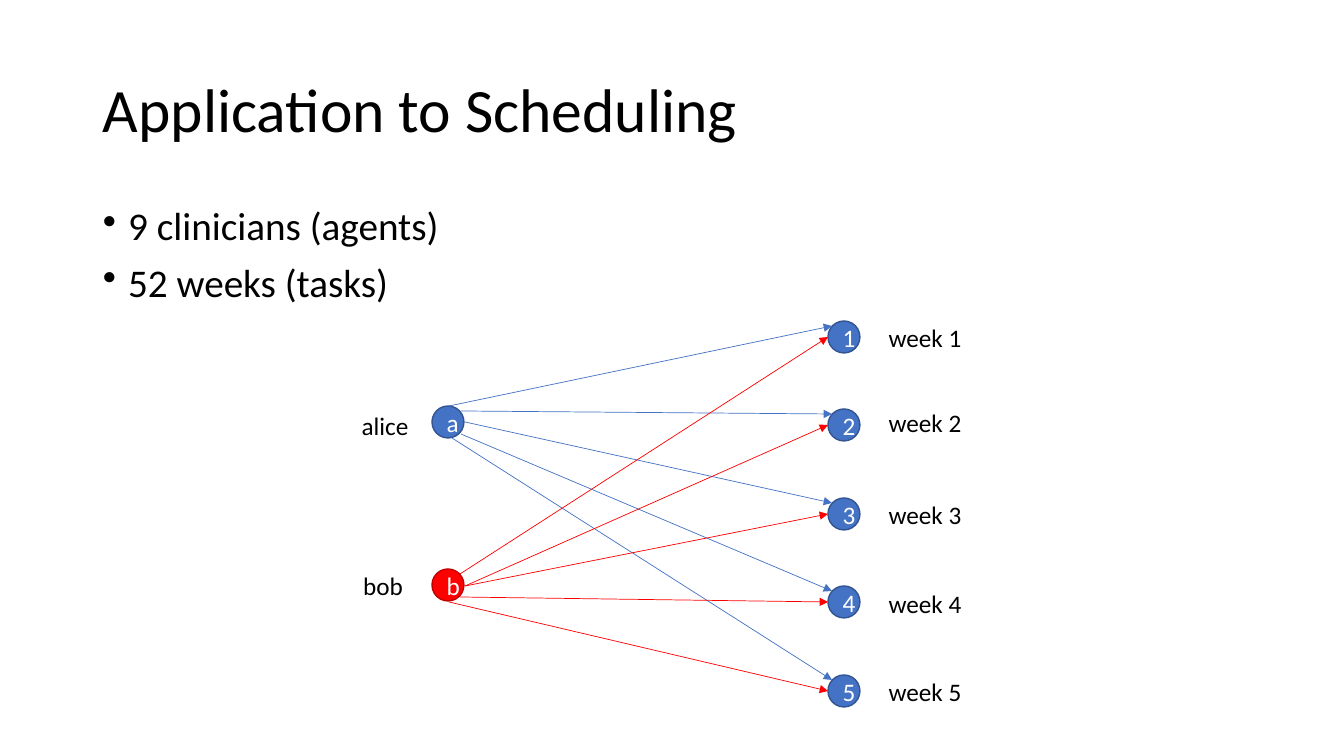
from lxml import etree
from pptx import Presentation
from pptx.dml.color import RGBColor
from pptx.enum.shapes import MSO_CONNECTOR, MSO_SHAPE
from pptx.enum.text import MSO_ANCHOR, MSO_AUTO_SIZE, PP_ALIGN
from pptx.oxml.ns import qn
from pptx.util import Emu, Pt

STRAIGHT = MSO_CONNECTOR.STRAIGHT
OVAL = MSO_SHAPE.OVAL
MIDDLE = MSO_ANCHOR.MIDDLE
FIT_SHAPE = MSO_AUTO_SIZE.SHAPE_TO_FIT_TEXT
CENTER = PP_ALIGN.CENTER

BLACK = RGBColor(0x00, 0x00, 0x00)
WHITE = RGBColor(0xFF, 0xFF, 0xFF)
BLUE = RGBColor(0x44, 0x72, 0xC4)
DARK_BLUE = RGBColor(0x32, 0x54, 0x91)
RED = RGBColor(0xFF, 0x00, 0x00)
DARK_RED = RGBColor(0xC0, 0x00, 0x00)

FONT = "Calibri"
NODE = 32
AGENT_X, WEEK_X = 432, 828
WEEK_TOPS = [321 + 177 * i // 2 for i in range(5)]
WEEK_LABEL_TOPS = [317, 402, 494, 583, 671]
AGENTS = [
    ("a", "alice", 406, (320, 405), BLUE, DARK_BLUE, (4, 5),
     [(17, 0), (29, 5), (33, 16), (29, 28), (20, 32)]),
    ("b", "bob", 569, (318, 565), RED, DARK_RED, (0, 16),
     [(28, 5), (33, 17), (33, 17), (28, 28), (17, 33)]),
]


def px(n):
    """Convert pixels to EMU."""
    return Emu(round(n * 914400 / 100.8))


def style(p, size, color):
    """Format every run of a paragraph."""
    for r in p.runs:
        r.font.name = FONT
        r.font.size = Pt(size)
        r.font.color.rgb = color


def add_text(s, x, y, w, h, text, size):
    """Add a wrapping black text box and return its text frame."""
    tf = s.shapes.add_textbox(px(x), px(y), px(w), px(h)).text_frame
    tf.word_wrap = True
    tf.text = text
    for p in tf.paragraphs:
        style(p, size, BLACK)
    return tf


def add_title(s, text):
    """Add the slide title."""
    tf = add_text(s, 93, 40, 1159, 146, text, 44)
    tf.vertical_anchor = MIDDLE
    tf.paragraphs[0].line_spacing = 0.9


def add_bullets(s, items):
    """Add the bulleted list."""
    tf = add_text(s, 93, 202, 1159, 480, "\n".join(items), 28)
    for p in tf.paragraphs:
        p.line_spacing = 0.9
        p.space_before = Pt(10)
        pPr = p._p.get_or_add_pPr()
        pPr.set("marL", "228600")
        pPr.set("indent", "-228600")
        etree.SubElement(pPr, qn("a:buChar"), char="•")


def add_label(s, x, y, text):
    """Add a centred caption beside a node."""
    tf = add_text(s, x, y, 130, 40, text, 18)
    tf.auto_size = FIT_SHAPE
    tf.paragraphs[0].alignment = CENTER


def add_node(s, x, y, text, fill, border):
    """Add a round graph node."""
    sp = s.shapes.add_shape(OVAL, px(x), px(y), px(NODE), px(NODE))
    sp.shadow.inherit = False
    sp.fill.solid()
    sp.fill.fore_color.rgb = fill
    sp.line.color.rgb = border
    sp.line.width = Pt(1)
    tf = sp.text_frame
    tf.text = text
    tf.vertical_anchor = MIDDLE
    tf.paragraphs[0].alignment = CENTER
    style(tf.paragraphs[0], 18, WHITE)


def add_arrow(s, x1, y1, x2, y2, color):
    """Add a thin straight arrow."""
    cxn = s.shapes.add_connector(STRAIGHT, px(x1), px(y1), px(x2), px(y2))
    cxn.line.color.rgb = color
    cxn.line.width = Pt(0.5)
    etree.SubElement(cxn.line._get_or_add_ln(), qn("a:tailEnd"), type="triangle")
    etree.SubElement(cxn._element.spPr, qn("a:effectLst"))


def main():
    """Build the slide and save it."""
    prs = Presentation()
    prs.slide_width, prs.slide_height = px(1344), px(756)
    s = prs.slides.add_slide(prs.slide_layouts[6])
    add_title(s, "Application to Scheduling")
    add_bullets(s, ["9 clinicians (agents)", "52 weeks (tasks)"])
    for letter, name, top, label_at, fill, border, _, _ in AGENTS:
        add_node(s, AGENT_X, top, letter, fill, border)
        add_label(s, *label_at, name)
    for week, (top, label_top) in enumerate(zip(WEEK_TOPS, WEEK_LABEL_TOPS), 1):
        add_node(s, WEEK_X, top, str(week), BLUE, DARK_BLUE)
        add_label(s, 860, label_top, f"week {week}")
    for _, _, top, _, color, _, (end_x, end_y), starts in AGENTS:
        for (dx, dy), week_top in zip(starts, WEEK_TOPS):
            add_arrow(s, AGENT_X + dx, top + dy,
                      WEEK_X + end_x, week_top + end_y, color)
    prs.save("out.pptx")


main()
